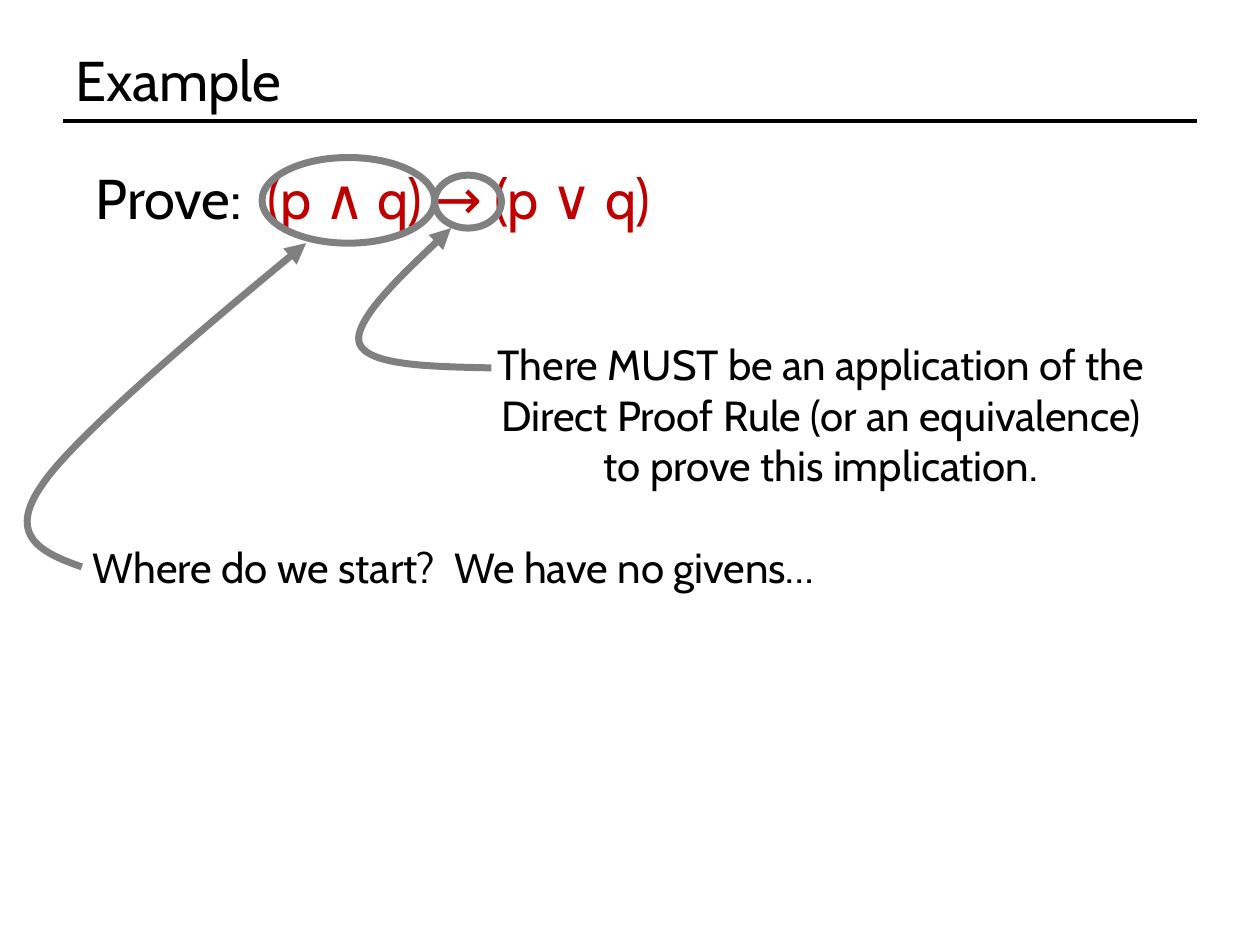
import pptx
import pptx.dml.color
import pptx.enum.shapes
import pptx.enum.text
import pptx.oxml.ns
import pptx.oxml.xmlchemy
import pptx.util

PX = 9144
FONT = "Cabin"
BLACK = pptx.dml.color.RGBColor(0x00, 0x00, 0x00)
RED = pptx.dml.color.RGBColor(0xC0, 0x00, 0x00)
GRAY = pptx.dml.color.RGBColor(0x80, 0x80, 0x80)
ANCHOR = pptx.enum.text.MSO_ANCHOR
qn = pptx.oxml.ns.qn
new_element = pptx.oxml.xmlchemy.OxmlElement


def emu(*lengths):
    return [pptx.util.Emu(n * PX) for n in lengths]


def set_line(s, color, width):
    s.line.color.rgb = color
    s.line.width = pptx.util.Pt(width)


def add_text(slide, box, paragraphs, size, anchor=ANCHOR.TOP, note=False):
    tf = slide.shapes.add_textbox(*emu(*box)).text_frame
    tf.word_wrap = not note
    tf.vertical_anchor = anchor
    if note:
        tf.auto_size = pptx.enum.text.MSO_AUTO_SIZE.SHAPE_TO_FIT_TEXT
    for i, runs in enumerate(paragraphs):
        p = tf.add_paragraph() if i else tf.paragraphs[0]
        if note:
            p.alignment = pptx.enum.text.PP_ALIGN.CENTER
        for text, color in runs:
            r = p.add_run()
            r.text = text
            r.font.name = FONT
            r.font.size = pptx.util.Pt(size)
            r.font.color.rgb = color


def add_title(slide, box):
    x, y, w, h = box
    rule = slide.shapes.add_connector(
        pptx.enum.shapes.MSO_CONNECTOR.STRAIGHT, *emu(x, y + h, x + w, y + h))
    set_line(rule, BLACK, 2)
    rule._element.spPr.append(new_element("a:effectLst"))
    add_text(slide, box, [[("Example", BLACK)]], 32, ANCHOR.MIDDLE)


def add_ring(slide, box):
    s = slide.shapes.add_shape(pptx.enum.shapes.MSO_SHAPE.OVAL, *emu(*box))
    s.shadow.inherit = False
    s.fill.background()
    set_line(s, GRAY, 4)


def add_statement(slide, box):
    x, y, w, h = box
    add_text(slide, box,
             [[("Prove:  ", BLACK), ("(p ∧ q) → (p ∨ q)", RED)]], 32)
    add_ring(slide, (x + 279, y + 14, 53, 42))
    add_ring(slide, (x + 142, y, 137, 68))


def add_curved_arrow(slide, box, start, curves):
    x, y, w, h = box
    builder = slide.shapes.build_freeform(x + start[0], y + start[1], scale=PX)
    builder.add_line_segments([(x + c[2][0], y + c[2][1]) for c in curves], close=False)
    s = builder.convert_to_shape()
    s.left, s.top, s.width, s.height = emu(*box)
    path = s._element.find(".//" + qn("a:path"))
    path.set("w", str(w * PX))
    path.set("h", str(h * PX))
    for child in list(path):
        path.remove(child)
    for tag, points in [("a:moveTo", [start])] + [("a:cubicBezTo", c) for c in curves]:
        step = new_element(tag)
        path.append(step)
        for px, py in points:
            pt = new_element("a:pt")
            pt.set("x", str(px * PX))
            pt.set("y", str(py * PX))
            step.append(pt)
    s.shadow.inherit = False
    s.fill.background()
    set_line(s, GRAY, 4)
    tail = new_element("a:tailEnd")
    tail.set("type", "triangle")
    s._element.spPr.find(qn("a:ln")).append(tail)


def add_implication_note(slide, box):
    lines = ["There MUST be an application of the",
             "Direct Proof Rule (or an equivalence)",
             "to prove this implication."]
    add_text(slide, box, [[(line, BLACK)] for line in lines], 24, note=True)
    x, y, w, h = box
    add_curved_arrow(slide, (x - 92, y - 83, 105, 111), (105, 111), [
        [(55, 110), (6, 109), (0, 91)],
        [(-5, 72), (73, 0), (73, 0)]])


def add_start_note(slide, box):
    add_text(slide, box, [[("Where do we start?  We have no givens…", BLACK)]],
             24, note=True)
    x, y, w, h = box
    add_curved_arrow(slide, (x - 34, y - 232, 222, 257), (44, 257), [
        [(13, 246), (-17, 233), (13, 191)],
        [(42, 148), (222, 0), (222, 0)]])


def main():
    prs = pptx.Presentation()
    prs.slide_width, prs.slide_height = emu(1000, 750)
    slide = prs.slides.add_slide(prs.slide_layouts[6])
    add_title(slide, (50, 30, 900, 66))
    add_statement(slide, (66, 125, 900, 562))
    add_implication_note(slide, (377, 264, 549, 131))
    add_start_note(slide, (55, 425, 610, 50))
    prs.save("out.pptx")


if __name__ == "__main__":
    main()
